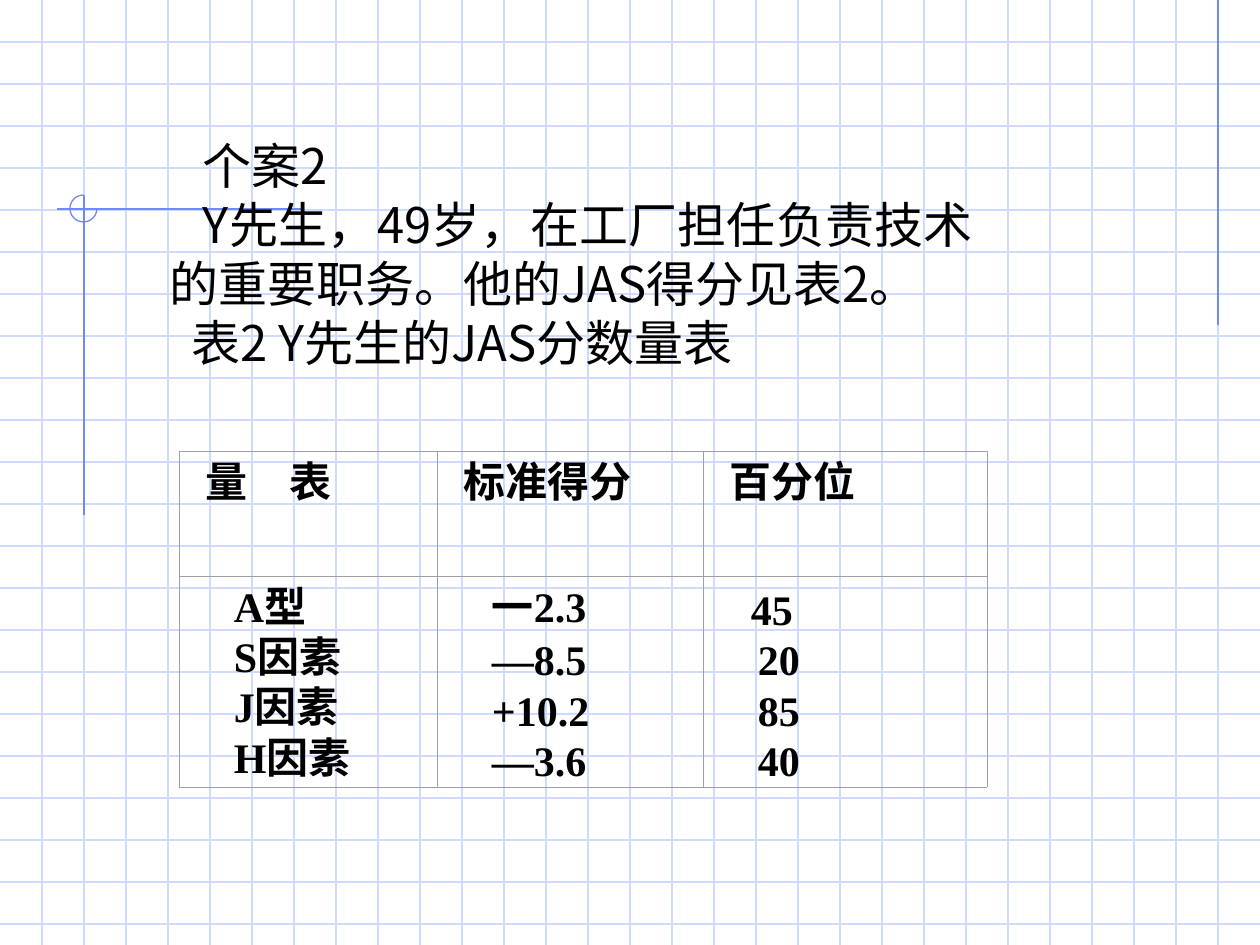
import pptx
import pptx.util
import pptx.dml.color
import pptx.enum.shapes
import pptx.enum.text
import pptx.oxml
import pptx.oxml.ns

PX_PER_INCH = 126
WIDTH, HEIGHT = 1260, 945
GRID_STEP = 42
GRID_COLOR, ACCENT, BORDER, INK = "CFDBFD", "6F89F7", "A0A0A0", "000000"
SANS, SERIF = "Noto Sans CJK SC", "Times New Roman"
JUSTIFY = pptx.enum.text.PP_ALIGN.JUSTIFY


def px(length):
    return pptx.util.Emu(round(length * 914400 / PX_PER_INCH))


def rgb(hex_color):
    return pptx.dml.color.RGBColor.from_string(hex_color)


def write(frame, lines, size, latin=SANS, bold=False):
    """Fill a text frame with (text, first-line indent in px, alignment) lines."""
    for number, (text, indent, align) in enumerate(lines):
        paragraph = frame.paragraphs[0] if number == 0 else frame.add_paragraph()
        paragraph.alignment = align
        paragraph.line_spacing = pptx.util.Pt(size * 1.2)
        properties = paragraph._p.get_or_add_pPr()
        properties.set("marL", "0")
        properties.set("indent", str(px(indent)))
        run = paragraph.add_run()
        run.text = text
        run.font.size = pptx.util.Pt(size)
        run.font.bold = bold
        run.font.name = latin
        run.font.color.rgb = rgb(INK)
        east_asian = pptx.oxml.parse_xml(
            f'<a:ea {pptx.oxml.ns.nsdecls("a")} typeface="{SANS}"/>')
        run.font._element.find(pptx.oxml.ns.qn("a:latin")).addnext(east_asian)


class SlideBuilder:
    def __init__(self, slide, line_width=0.75):
        self.shapes = slide.shapes
        self.line_width = pptx.util.Pt(line_width)

    def line(self, x1, y1, x2, y2, color):
        connector = self.shapes.add_connector(
            pptx.enum.shapes.MSO_CONNECTOR.STRAIGHT, px(x1), px(y1), px(x2), px(y2))
        connector.line.color.rgb = rgb(color)
        connector.line.width = self.line_width
        connector._element.spPr.append(pptx.oxml.parse_xml(
            f'<a:effectLst {pptx.oxml.ns.nsdecls("a")}/>'))

    def three_quarter_ring(self, x, y, diameter, color):
        ring = self.shapes.add_shape(
            pptx.enum.shapes.MSO_SHAPE.ARC, px(x), px(y), px(diameter), px(diameter))
        ring.adjustments[0] = 0
        ring.adjustments[1] = 162  # 270 degrees in units of 100000/60000
        ring.shadow.inherit = False
        ring.fill.background()
        ring.line.color.rgb = rgb(color)
        ring.line.width = self.line_width

    def text(self, x, y, width, height, lines, **style):
        frame = self.shapes.add_textbox(px(x), px(y), px(width), px(height)).text_frame
        frame.word_wrap = True
        frame.margin_left = frame.margin_right = px(13)
        frame.margin_top, frame.margin_bottom = px(10), px(3)
        write(frame, lines, **style)

    def table(self, x, y, widths, heights, rows, **style):
        table = self.shapes.add_table(
            len(heights), len(widths), px(x), px(y),
            px(sum(widths)), px(sum(heights))).table
        table.first_row = table.horz_banding = False
        for column, width in zip(table.columns, widths):
            column.width = px(width)
        for row, height, contents in zip(table.rows, heights, rows):
            row.height = px(height)
            for cell, lines in zip(row.cells, contents):
                cell.margin_left = cell.margin_right = px(13)
                cell.margin_top, cell.margin_bottom = px(8), 0
                write(cell.text_frame, lines, **style)
                self.border(cell)
                cell.fill.background()

    def border(self, cell):
        properties = cell._tc.get_or_add_tcPr()
        for side in ("lnL", "lnR", "lnT", "lnB"):
            properties.append(pptx.oxml.parse_xml(
                f'<a:{side} {pptx.oxml.ns.nsdecls("a")} w="6350"><a:solidFill>'
                f'<a:srgbClr val="{BORDER}"/></a:solidFill></a:{side}>'))


def main():
    deck = pptx.Presentation()
    deck.slide_width, deck.slide_height = px(WIDTH), px(HEIGHT)
    builder = SlideBuilder(deck.slides.add_slide(deck.slide_layouts[6]))

    for y in range(GRID_STEP, HEIGHT, GRID_STEP):
        builder.line(0, y, WIDTH, y, GRID_COLOR)
    for x in range(GRID_STEP, WIDTH, GRID_STEP):
        builder.line(x, 0, x, HEIGHT, GRID_COLOR)

    builder.line(1218, 0, 1218, 325, ACCENT)
    builder.line(302, 209, 57, 209, ACCENT)
    builder.line(84, 195, 84, 515, ACCENT)
    builder.three_quarter_ring(70, 195, 27, ACCENT)

    builder.text(157, 126, 829, 307, [
        ("个案2", 33, pptx.enum.text.PP_ALIGN.LEFT),
        ("Y先生，49岁，在工厂担任负责技术的重要职务。他的JAS得分见表2。", 33, JUSTIFY),
        ("表2 Y先生的JAS分数量表", 22, JUSTIFY),
    ], size=28)

    headings = ["量　表", "标准得分", "百分位"]
    scales = ["A型", "S因素", "J因素", "H因素"]
    scores = ["一2.3", "—8.5", "+10.2", "—3.6"]
    percentiles = ["45", "20", "85", "40"]
    heading_cells = [[(heading, 14, JUSTIFY)] for heading in headings]
    value_cells = [[(value, 42, JUSTIFY) for value in values]
                   for values in (scales, scores, percentiles)]
    value_cells[2][0] = (percentiles[0], 35, JUSTIFY)
    builder.table(179, 451, [258, 266, 284], [125, 211],
                  [heading_cells, value_cells], size=24, latin=SERIF, bold=True)

    deck.save("out.pptx")


if __name__ == "__main__":
    main()
